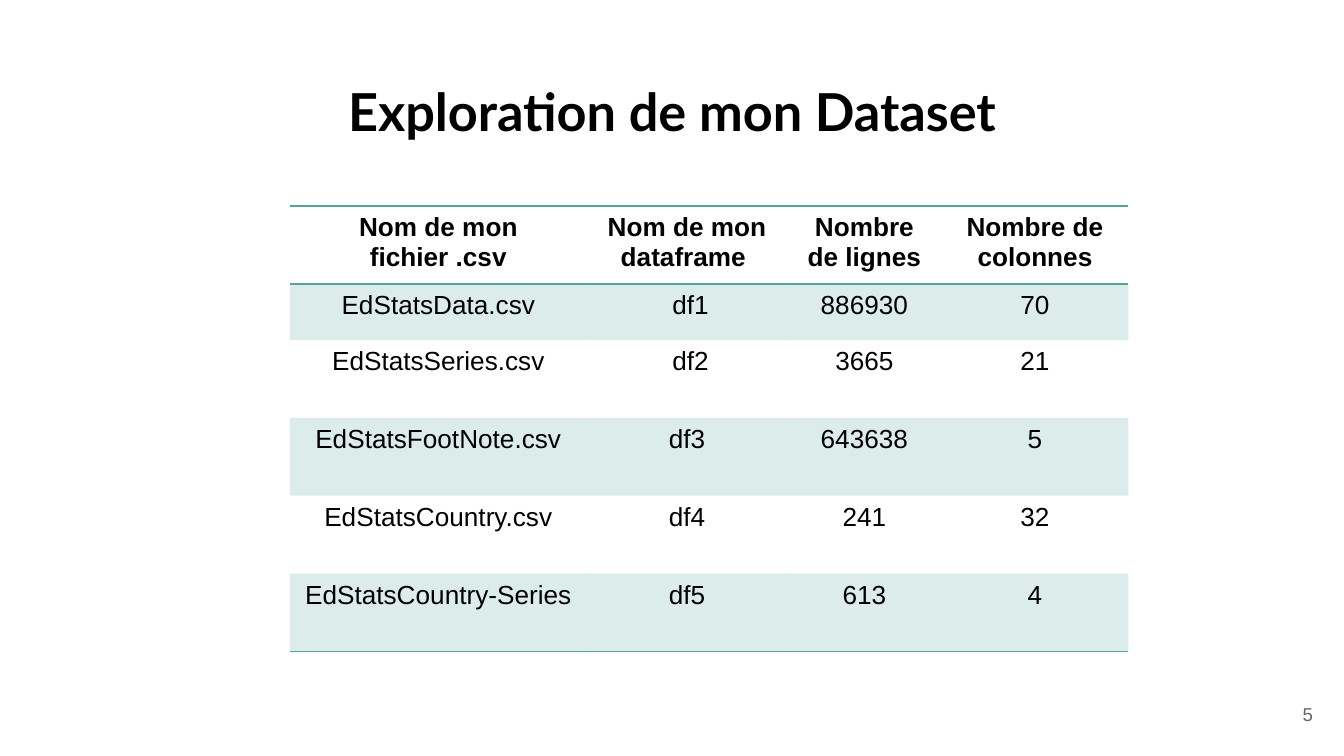
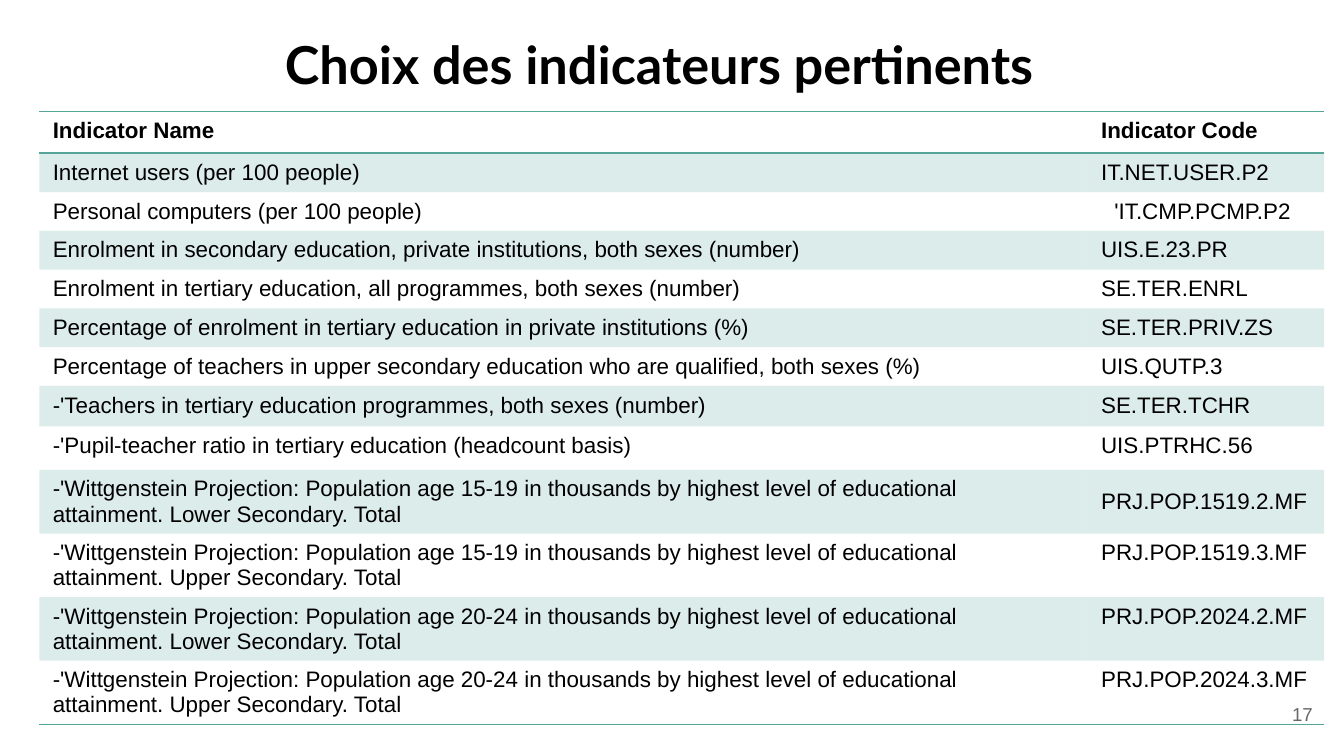
import dataclasses

import pptx
import pptx.dml.color
import pptx.enum.text
import pptx.oxml
import pptx.oxml.ns
import pptx.presentation
import pptx.slide
import pptx.table
import pptx.text.text
import pptx.util

Pt = pptx.util.Pt
RGBColor = pptx.dml.color.RGBColor
ALIGN = pptx.enum.text.PP_ALIGN
ANCHOR = pptx.enum.text.MSO_ANCHOR

BLACK = RGBColor(0x00, 0x00, 0x00)
GREY = RGBColor(0x66, 0x66, 0x66)
TEAL = RGBColor(0x54, 0xA4, 0x98)
WHITE = RGBColor(0xFF, 0xFF, 0xFF)

TITLE_FONT = "Lato"
BODY_FONT = "Arial"
BAND_OPACITY = 20
BLANK_LAYOUT = 6


@dataclasses.dataclass(frozen=True)
class TextStyle:
    font: str
    size: float
    color: RGBColor = BLACK
    bold: bool = False
    align: ALIGN = ALIGN.LEFT


@dataclasses.dataclass(frozen=True)
class Box:
    left: float
    top: float
    width: float
    height: float


@dataclasses.dataclass(frozen=True)
class TableSpec:
    left: float
    top: float
    col_widths: list[float]
    row_heights: list[float]
    rows: list[tuple[str, ...]]
    style: TextStyle
    bottom_margin: float = 3.6


TITLE = TextStyle(TITLE_FONT, 28, bold=True, align=ALIGN.CENTER)
PAGE_NUMBER = TextStyle(BODY_FONT, 10, GREY, align=ALIGN.RIGHT)
PAGE_NUMBER_BOX = Box(667.2, 367.2, 43.2, 31)

DATASET = TableSpec(
    left=155.3,
    top=110.5,
    col_widths=[159.1, 107.3, 82.8, 100],
    row_heights=[41.7, 30] + [41.7] * 4,
    rows=[
        ("Nom de mon fichier .csv", "Nom de mon dataframe ", "Nombre de lignes", "Nombre de colonnes"),
        ("EdStatsData.csv", " df1", "886930", "70"),
        ("EdStatsSeries.csv", " df2", "3665", "21"),
        ("EdStatsFootNote.csv", "df3", "643638", "5"),
        ("EdStatsCountry.csv", "df4", "241", "32"),
        ("EdStatsCountry-Series", "df5", "613", "4"),
    ],
    style=TextStyle(BODY_FONT, 14, align=ALIGN.CENTER),
)

PROJECTIONS = [
    (
        f"-'Wittgenstein Projection: Population age {ages} in thousands by highest level "
        f"of educational attainment. {level} Secondary. Total",
        f"PRJ.POP.{ages.replace('-', '')}.{code}.MF",
    )
    for ages in ("15-19", "20-24")
    for level, code in (("Lower", 2), ("Upper", 3))
]

INDICATORS = TableSpec(
    left=21.1,
    top=59.8,
    col_widths=[561.6, 126.7],
    row_heights=[22.3] + [20.8] * 6 + [21.6, 23.4] + [34.1] * 4,
    rows=[
        ("Indicator Name", "Indicator Code"),
        ("Internet users (per 100 people)", "IT.NET.USER.P2"),
        ("Personal computers (per 100 people)", "'IT.CMP.PCMP.P2"),
        ("Enrolment in secondary education, private institutions, both sexes (number)", "UIS.E.23.PR"),
        ("Enrolment in tertiary education, all programmes, both sexes (number)", "SE.TER.ENRL"),
        ("Percentage of enrolment in tertiary education in private institutions (%)", "SE.TER.PRIV.ZS"),
        ("Percentage of teachers in upper secondary education who are qualified, both sexes (%)", "UIS.QUTP.3"),
        ("-'Teachers in tertiary education programmes, both sexes (number)", "SE.TER.TCHR"),
        ("-'Pupil-teacher ratio in tertiary education (headcount basis)", "UIS.PTRHC.56"),
        *PROJECTIONS,
    ],
    style=TextStyle(BODY_FONT, 12),
    bottom_margin=1.2,
)
COMPUTERS_ROW = 2
FIRST_PROJECTION_ROW = 9


def format_paragraph(p: pptx.text.text._Paragraph, style: TextStyle) -> None:
    p.alignment = style.align
    for r in p.runs:
        r.font.name = style.font
        r.font.size = Pt(style.size)
        r.font.bold = style.bold
        r.font.color.rgb = style.color


def add_text(s: pptx.slide.Slide, text: str, box: Box, style: TextStyle,
             anchor: ANCHOR = ANCHOR.TOP) -> None:
    sp = s.shapes.add_textbox(*map(Pt, dataclasses.astuple(box)))
    tf = sp.text_frame
    tf.word_wrap = True
    tf.vertical_anchor = anchor
    tf.margin_left = tf.margin_right = tf.margin_top = tf.margin_bottom = Pt(7.2)
    tf.text = text
    format_paragraph(tf.paragraphs[0], style)


def set_borders(cell: pptx.table._Cell, ruled: set[str]) -> None:
    """Draw a teal rule on the ruled edges (L, R, T, B) and clear the others."""
    tc_pr = cell._tc.get_or_add_tcPr()
    for i, edge in enumerate("LRTB"):
        paint = f'<a:solidFill><a:srgbClr val="{TEAL}"/></a:solidFill>' if edge in ruled else "<a:noFill/>"
        ln = pptx.oxml.parse_xml(
            f'<a:ln{edge} {pptx.oxml.ns.nsdecls("a")} w="{Pt(1)}">{paint}</a:ln{edge}>')
        tc_pr.insert(i, ln)


def fill_band(cell: pptx.table._Cell) -> None:
    cell.fill.solid()
    cell.fill.fore_color.rgb = TEAL
    color = cell._tc.tcPr.find(".//" + pptx.oxml.ns.qn("a:srgbClr"))
    color.append(pptx.oxml.parse_xml(
        f'<a:alpha {pptx.oxml.ns.nsdecls("a")} val="{BAND_OPACITY * 1000}"/>'))


def add_banded_table(s: pptx.slide.Slide, spec: TableSpec) -> pptx.table.Table:
    """Add a table with a bold ruled header, tinted odd rows and a closing rule."""
    last = len(spec.rows) - 1
    table = s.shapes.add_table(
        len(spec.rows), len(spec.col_widths), Pt(spec.left), Pt(spec.top),
        Pt(sum(spec.col_widths)), Pt(sum(spec.row_heights))).table
    table.first_row = table.horz_banding = False
    for col, width in zip(table.columns, spec.col_widths):
        col.width = Pt(width)
    for i, (row, height, texts) in enumerate(zip(table.rows, spec.row_heights, spec.rows)):
        row.height = Pt(height)
        style = dataclasses.replace(spec.style, bold=i == 0)
        ruled = ({"T"} if i in (0, 1) else set()) | ({"B"} if i in (0, last) else set())
        for cell, text in zip(row.cells, texts):
            cell.text = text
            cell.margin_bottom = Pt(spec.bottom_margin)
            format_paragraph(cell.text_frame.paragraphs[0], style)
            if i % 2:
                fill_band(cell)
            else:
                cell.fill.background()
            set_borders(cell, ruled)
    return table


def add_slide(prs: pptx.presentation.Presentation, title: str, title_box: Box,
              spec: TableSpec, number: int) -> pptx.table.Table:
    s = prs.slides.add_slide(prs.slide_layouts[BLANK_LAYOUT])
    s.background.fill.solid()
    s.background.fill.fore_color.rgb = WHITE
    table = add_banded_table(s, spec)
    add_text(s, title, title_box, TITLE)
    add_text(s, str(number), PAGE_NUMBER_BOX, PAGE_NUMBER, ANCHOR.MIDDLE)
    return table


def main() -> None:
    prs = pptx.Presentation()
    prs.slide_width, prs.slide_height = Pt(720), Pt(405)

    add_slide(prs, "Exploration de mon Dataset", Box(24.5, 35.3, 671, 45.4), DATASET, 5)

    indicators = add_slide(prs, "Choix des indicateurs pertinents ",
                           Box(20.9, 10.1, 671, 45.4), INDICATORS, 17)
    computers_code = indicators.cell(COMPUTERS_ROW, 1)
    computers_code.margin_left = Pt(14.3)
    computers_code.margin_right = computers_code.margin_top = Pt(0.7)
    computers_code.margin_bottom = Pt(0)
    projection_code = indicators.cell(FIRST_PROJECTION_ROW, 1)
    projection_code.margin_bottom = projection_code.margin_top
    for cell in (computers_code, projection_code):
        cell.vertical_anchor = ANCHOR.MIDDLE

    prs.save("out.pptx")


if __name__ == "__main__":
    main()
